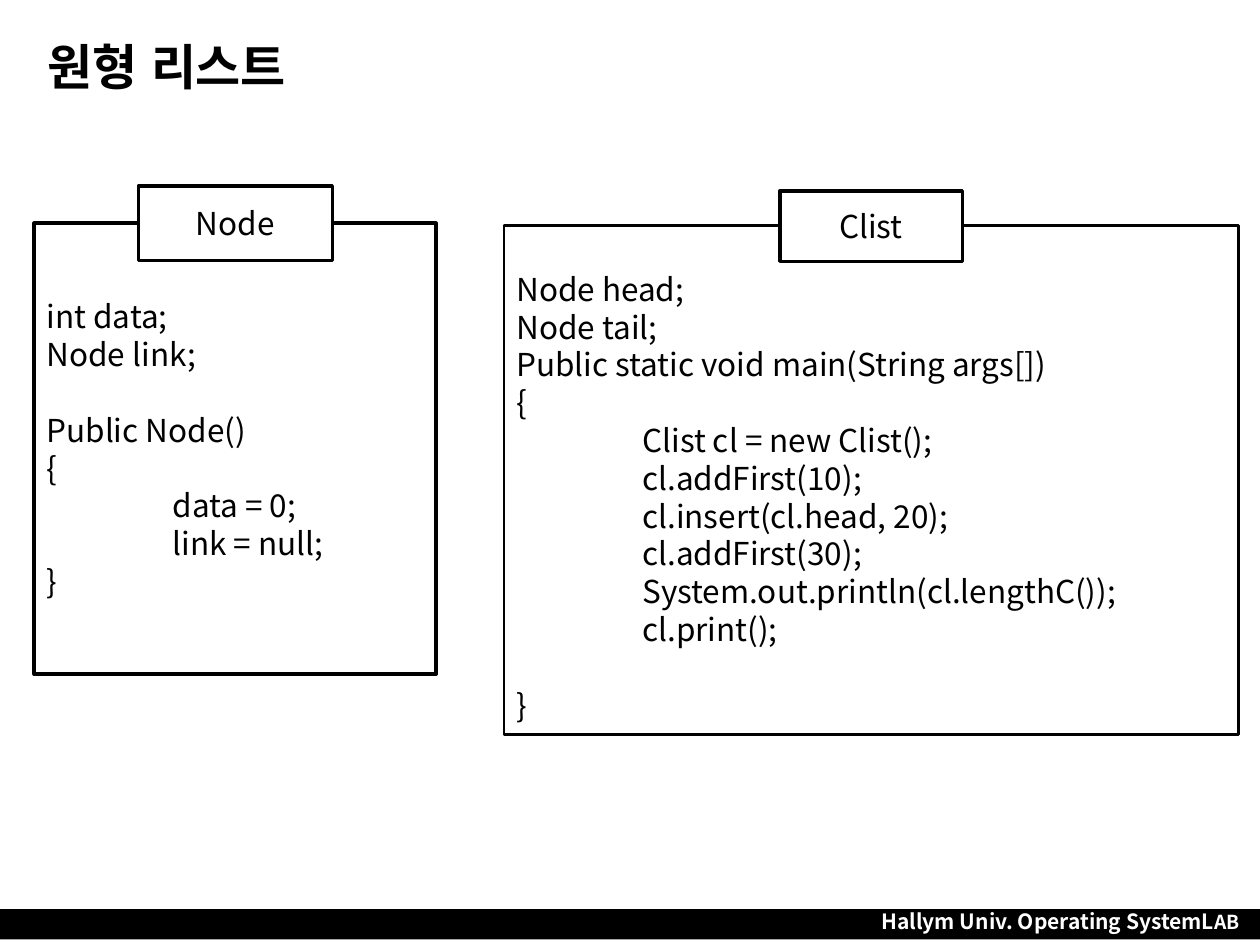
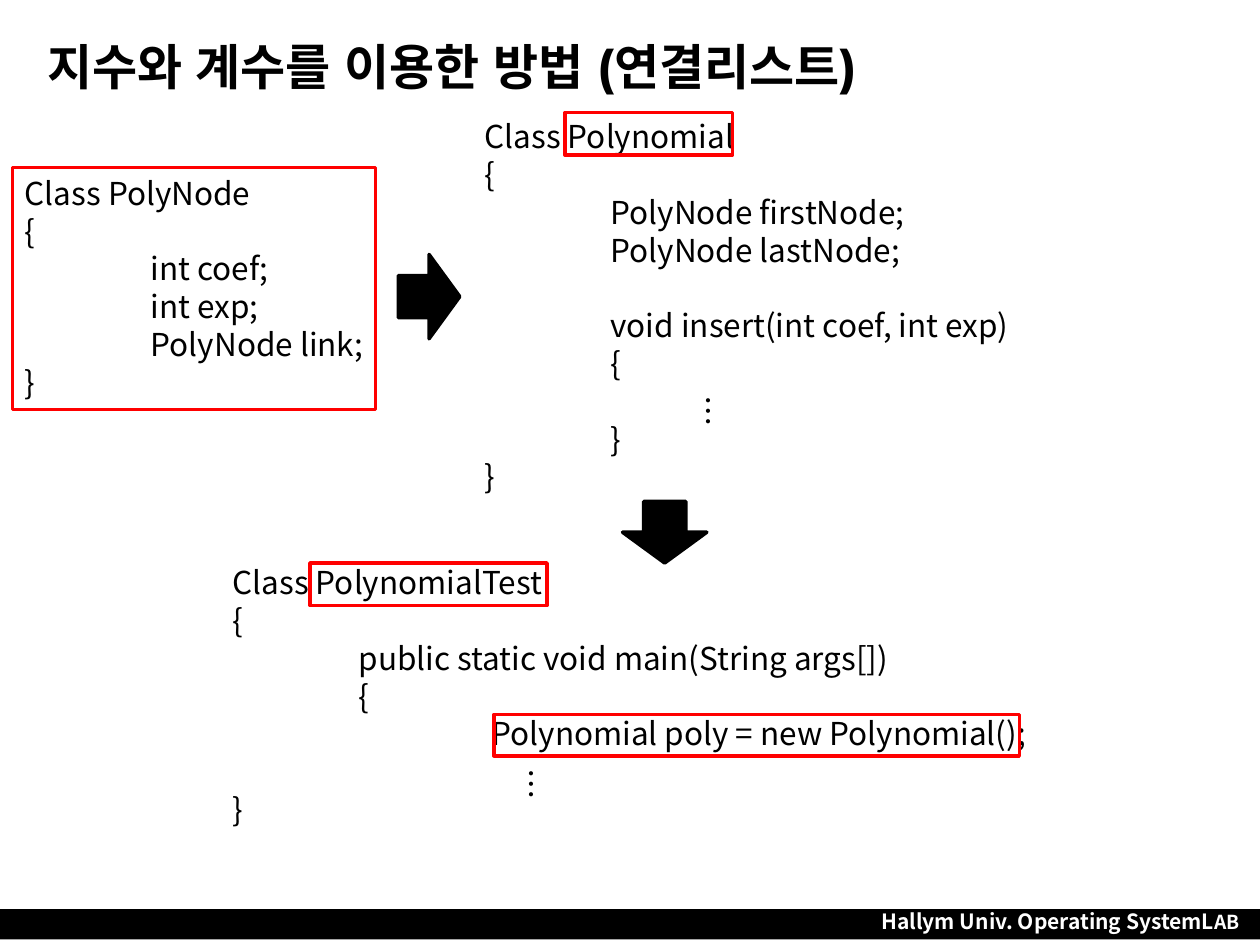
from lxml.etree import SubElement
from pptx import Presentation
from pptx.dml.color import RGBColor
from pptx.enum.shapes import MSO_SHAPE
from pptx.enum.text import MSO_ANCHOR, PP_ALIGN
from pptx.oxml.ns import qn
from pptx.util import Cm, Pt

COLORS = {"ink": "000000", "paper": "FFFFFF", "mark": "FF0000"}
TITLE_FONT = "Montserrat"
BODY_FONT = "Noto Sans CJK KR"
LINE_HEIGHT = Pt(21.6)
TAB_STOPS = (Cm(2.54), Cm(5.08))

NODE_CODE = """int data;
Node link;

Public Node()
{
\tdata = 0;
\tlink = null;
}"""

CLIST_CODE = """Node head;
Node tail;
Public static void main(String args[])
{
\tClist cl = new Clist();
\tcl.addFirst(10);
\tcl.insert(cl.head, 20);
\tcl.addFirst(30);
\tSystem.out.println(cl.lengthC());
\tcl.print();

}"""

POLY_NODE_CODE = """Class PolyNode
{
\tint coef;
\tint exp;
\tPolyNode link;
}"""

POLYNOMIAL_CODE = """Class Polynomial
{
\tPolyNode firstNode;
\tPolyNode lastNode;

\tvoid insert(int coef, int exp)
\t{

\t}
}"""

TEST_CODE = """Class PolynomialTest
{
\tpublic static void main(String args[])
\t{
\t\t Polynomial poly = new Polynomial();

}"""


def rgb(name):
    return RGBColor.from_string(COLORS[name])


def format_run(r, size=18, color="ink", bold=False, font=BODY_FONT):
    r.font.size = Pt(size)
    r.font.bold = bold
    r.font.color.rgb = rgb(color)
    r.font.name = font
    SubElement(r.font._element, qn("a:ea")).set("typeface", font)


def add_box(s, place, fill=None, line="ink", width=2, kind=MSO_SHAPE.RECTANGLE):
    sp = s.shapes.add_shape(kind, *map(Cm, place))
    sp.shadow.inherit = False
    if fill:
        sp.fill.solid()
        sp.fill.fore_color.rgb = rgb(fill)
    else:
        sp.fill.background()
    if line:
        sp.line.color.rgb = rgb(line)
        sp.line.width = Pt(width)
    else:
        sp.line.fill.background()
    return sp


def add_text(s, place, wrap=True):
    tf = s.shapes.add_textbox(*map(Cm, place)).text_frame
    tf.word_wrap = wrap
    return tf


def set_tabs(p):
    tabs = SubElement(p._p.get_or_add_pPr(), qn("a:tabLst"))
    for stop in TAB_STOPS:
        tab = SubElement(tabs, qn("a:tab"))
        tab.set("pos", str(stop))
        tab.set("algn", "l")


def write_code(tf, code):
    """Write one paragraph a line; an empty line becomes space before the next."""
    p, gap = None, 0
    for line in code.split("\n"):
        if not line:
            gap = LINE_HEIGHT
            continue
        p = tf.add_paragraph() if p else tf.paragraphs[0]
        p.text = line
        p.alignment = PP_ALIGN.LEFT
        p.line_spacing = LINE_HEIGHT
        p.space_before, gap = gap, 0
        set_tabs(p)
        format_run(p.runs[0])


def add_code(s, place, code):
    write_code(add_text(s, place), code)


def add_class_name(s, place, name):
    tf = add_box(s, place, "paper").text_frame
    tf.vertical_anchor = MSO_ANCHOR.MIDDLE
    tf.text = name
    p = tf.paragraphs[0]
    p.alignment = PP_ALIGN.CENTER
    format_run(p.runs[0])


def add_vertical_dots(s, left, top):
    tf = add_text(s, (left, top, 1.27, 1.07))
    tf._txBody.bodyPr.set("vert", "eaVert")
    tf.text = "…"
    format_run(tf.paragraphs[0].runs[0])


def add_footer(s):
    add_box(s, (0, 18.33, 25.43, 0.61), "ink", line=None)
    p = add_text(s, (17.47, 18.2, 7.82, 0.76), wrap=False).paragraphs[0]
    p.alignment = PP_ALIGN.CENTER
    for text, size in (("Hallym Univ. Operating", 12), (" ", 11),
                       ("SystemL", 12), ("AB", 11)):
        r = p.add_run()
        r.text = text
        format_run(r, size, "paper", bold=True)


def add_slide(prs, title):
    s = prs.slides.add_slide(prs.slide_layouts[5])
    add_footer(s)
    sp = s.shapes.title
    sp.left, sp.top, sp.width, sp.height = map(Cm, (0.7, 0.33, 24, 2.01))
    tf = sp.text_frame
    tf.text = title
    tf.vertical_anchor = MSO_ANCHOR.MIDDLE
    p = tf.paragraphs[0]
    p.alignment = PP_ALIGN.LEFT
    format_run(p.runs[0], 28, bold=True, font=TITLE_FONT)
    return s


def build_circular_list(prs):
    s = add_slide(prs, "원형 리스트")
    tf = add_box(s, (0.69, 4.5, 8.1, 9.09), "paper").text_frame
    tf.vertical_anchor = MSO_ANCHOR.MIDDLE
    write_code(tf, NODE_CODE)
    add_class_name(s, (2.79, 3.75, 3.91, 1.5), "Node")

    tf = add_box(s, (10.16, 4.55, 14.81, 10.26), width=1.5).text_frame
    tf.vertical_anchor = MSO_ANCHOR.TOP
    tf.margin_top = Cm(0.89)
    write_code(tf, CLIST_CODE)
    add_class_name(s, (15.72, 3.85, 3.68, 1.42), "Clist")


def build_polynomial(prs):
    s = add_slide(prs, "지수와 계수를 이용한 방법 (연결리스트)")
    add_code(s, (0.25, 3.38, 7.52, 4.88), POLY_NODE_CODE)
    add_code(s, (9.52, 2.24, 14.86, 7.95), POLYNOMIAL_CODE)
    add_code(s, (4.44, 11.23, 17.45, 5.64), TEST_CODE)
    add_vertical_dots(s, 13.54, 7.72)
    add_vertical_dots(s, 9.96, 15.24)
    add_box(s, (8.03, 5.13, 1.24, 1.7), "ink", kind=MSO_SHAPE.RIGHT_ARROW)
    add_box(s, (12.55, 10.11, 1.7, 1.24), "ink", kind=MSO_SHAPE.DOWN_ARROW)
    for place in ((0.25, 3.38, 7.32, 4.88), (11.39, 2.27, 3.38, 0.86),
                  (6.25, 11.35, 4.78, 0.86), (9.96, 14.4, 10.59, 0.84)):
        add_box(s, place, line="mark")


def main():
    prs = Presentation()
    prs.slide_width, prs.slide_height = Cm(25.4), Cm(19.05)
    build_circular_list(prs)
    build_polynomial(prs)
    prs.save("out.pptx")


if __name__ == "__main__":
    main()
